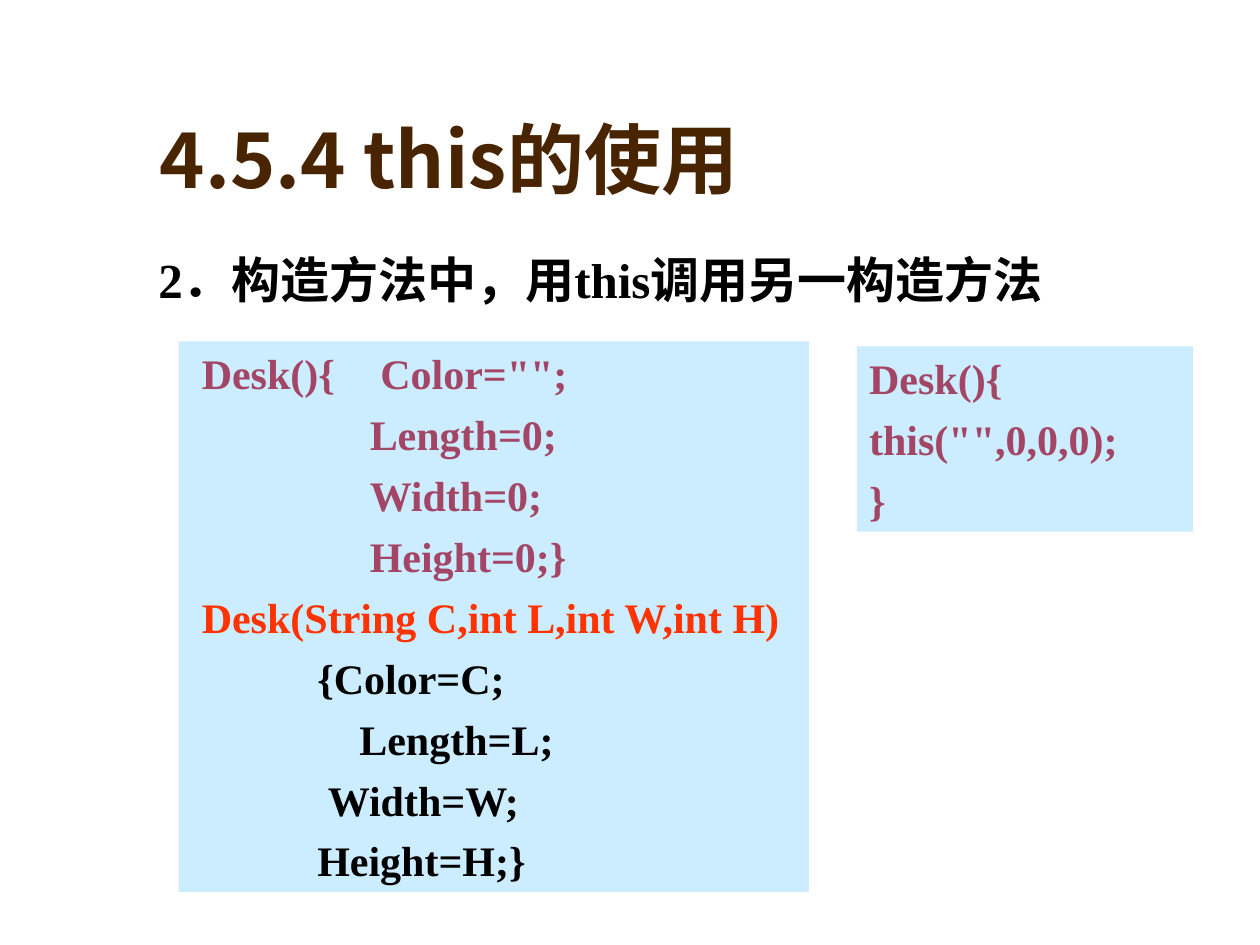
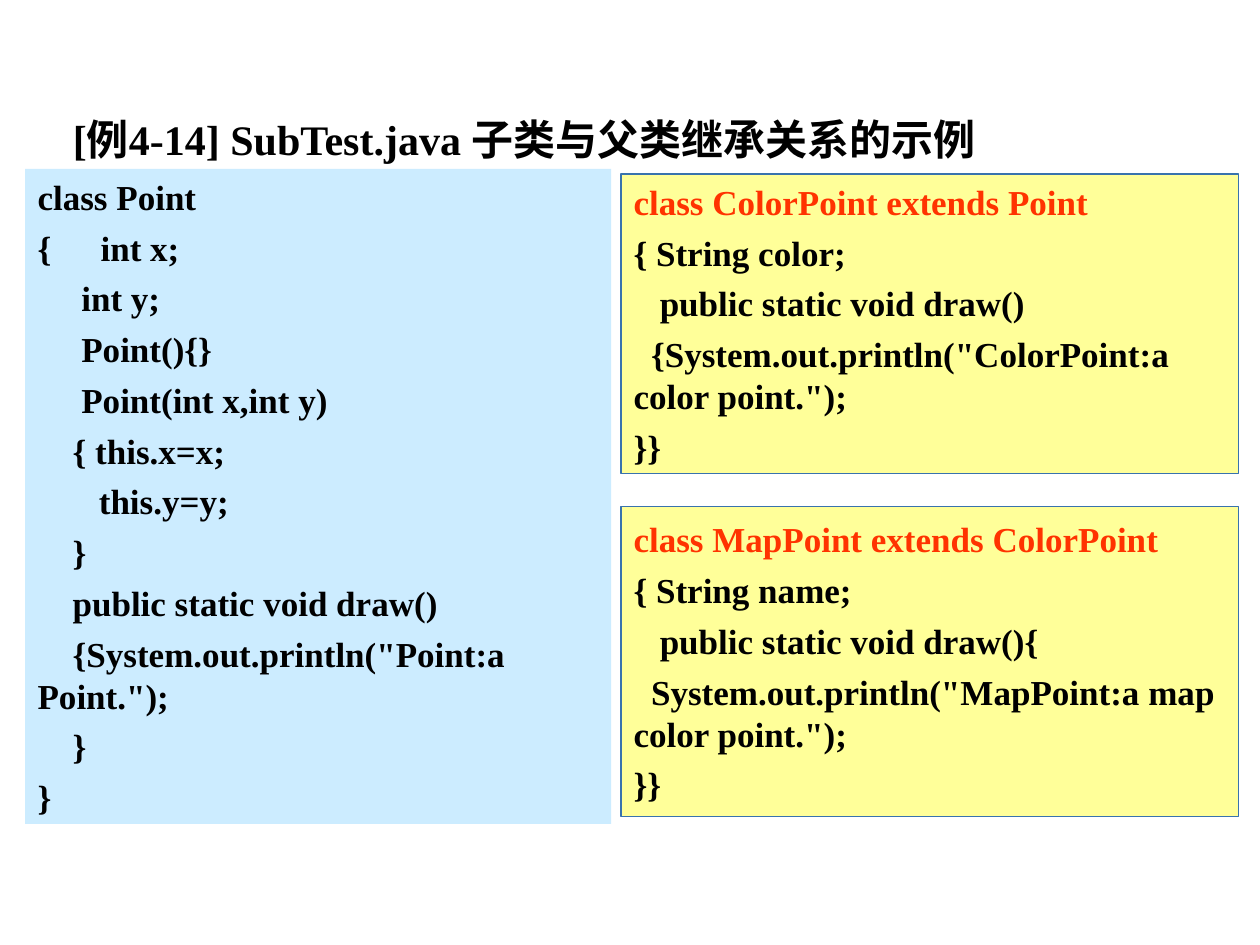
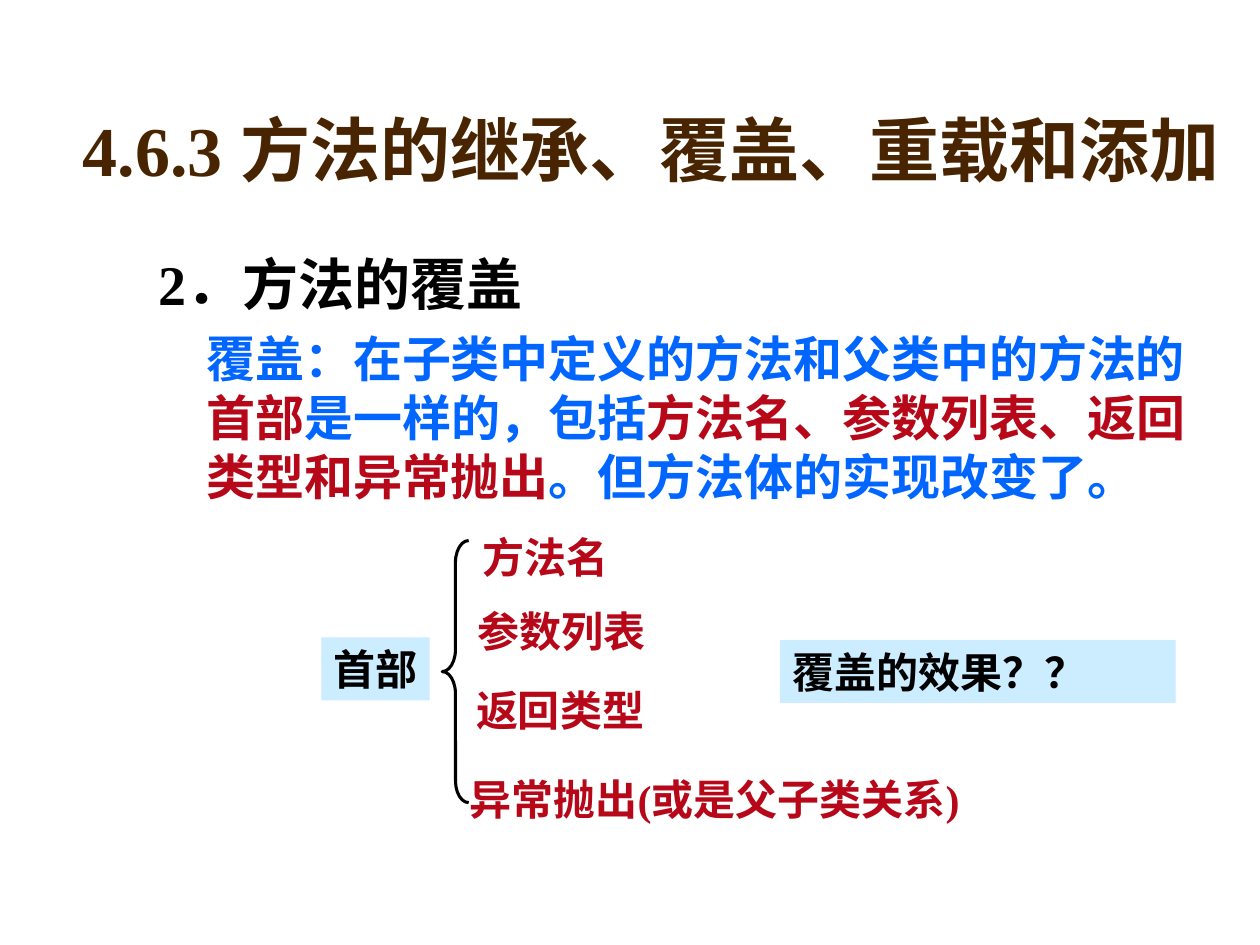
"""Three lecture slides on Java constructors, inheritance and method overriding."""
from lxml import etree
from pptx import Presentation
from pptx.dml.color import RGBColor
from pptx.enum.shapes import MSO_SHAPE
from pptx.enum.text import MSO_ANCHOR
from pptx.oxml.ns import qn
from pptx.util import Inches, Pt

RECTANGLE, LEFT_BRACE = MSO_SHAPE.RECTANGLE, MSO_SHAPE.LEFT_BRACE
TOP, MIDDLE, BOTTOM = MSO_ANCHOR.TOP, MSO_ANCHOR.MIDDLE, MSO_ANCHOR.BOTTOM

BROWN = RGBColor(0x48, 0x24, 0x00)
BLACK = RGBColor(0x00, 0x00, 0x00)
PLUM = RGBColor(0xA3, 0x45, 0x64)
ORANGE = RGBColor(0xFF, 0x33, 0x00)
BLUE = RGBColor(0x00, 0x66, 0xFF)
CRIMSON = RGBColor(0xB6, 0x08, 0x19)
SKY = RGBColor(0xCC, 0xEC, 0xFF)
YELLOW = RGBColor(0xFF, 0xFF, 0x99)
STEEL = RGBColor(0x39, 0x73, 0xAD)

SERIF, SANS = "Times New Roman", "Noto Sans CJK SC"
SPACE_SHARE = 0.25

deck = Presentation()
deck.slide_width, deck.slide_height = Inches(10), Inches(7.5)
constructor_slide, inheritance_slide, override_slide = [
    deck.slides.add_slide(deck.slide_layouts[6]) for _ in range(3)]


def write(paragraph, runs, size, font=SERIF, before=0, left=0, indent=0, tab=None):
    """Fill a paragraph with (text, colour) runs; indent and tab are inches."""
    paragraph.space_before = Pt(before)
    properties = paragraph._p.get_or_add_pPr()
    properties.set("marL", str(Inches(left)))
    properties.set("indent", str(Inches(indent)))
    if tab:
        stops = etree.SubElement(properties, qn("a:tabLst"))
        etree.SubElement(stops, qn("a:tab"), pos=str(Inches(tab)), algn="l")
    for text, colour in runs:
        run = paragraph.add_run()
        run.text = text
        for key, value in {"size": Pt(size), "bold": True, "name": font}.items():
            setattr(run.font, key, value)
        run.font.color.rgb = colour
        etree.SubElement(run._r.get_or_add_rPr(), qn("a:ea"), typeface=SANS)


def add_frame(slide, box, anchor=TOP, fill=None, line=None, wrap=True):
    """Add a text area, filled when a colour is given, and return its text frame."""
    place = [Inches(length) for length in box]
    if fill is None:
        area = slide.shapes.add_textbox(*place)
    else:
        area = slide.shapes.add_shape(RECTANGLE, *place)
        area.shadow.inherit = False
        area.fill.solid()
        area.fill.fore_color.rgb = fill
        if line is None:
            area.line.fill.background()
        else:
            area.line.color.rgb = line
            area.line.width = Pt(0.75)
    for key, value in {"word_wrap": wrap, "vertical_anchor": anchor}.items():
        setattr(area.text_frame, key, value)
    area.text_frame.paragraphs[0].alignment = 1
    return area.text_frame


headings = [
    (constructor_slide, (1.17, 0.42, 8.5, 1.25), BOTTOM, "4.5.4 this的使用", 44, SANS, BROWN, 0),
    (constructor_slide, (1.16, 1.93, 8.5, 0.6), TOP,
     "2．构造方法中，用this调用另一构造方法", 28, SERIF, BLACK, 7),
    (inheritance_slide, (0.48, 0.85, 9.28, 0.5), MIDDLE,
     "[例4-14] SubTest.java 子类与父类继承关系的示例", 24, SERIF, BLACK, 0),
    (override_slide, (0.56, 0.31, 9.44, 1.25), BOTTOM,
     "4.6.3 方法的继承、覆盖、重载和添加", 40, SERIF, BROWN, 0),
]
for slide, box, anchor, text, size, font, colour, before in headings:
    frame = add_frame(slide, box, anchor)
    write(frame.paragraphs[0], [(text, colour)], size, font, before)

short_constructor = [(0, "Desk(){", PLUM), (0, 'this("",0,0,0);', PLUM), (0, "}", PLUM)]
full_constructors = [
    (1, 'Desk(){\tColor="";', PLUM),
    (17, "Length=0;", PLUM),
    (17, "Width=0;", PLUM),
    (17, "Height=0;}", PLUM),
    (1, "Desk(String C,int L,int W,int H)", ORANGE),
    (12, "{Color=C;", BLACK),
    (16, "Length=L;", BLACK),
    (13, "Width=W;", BLACK),
    (12, "Height=H;}", BLACK),
]
point_class = [
    (0, "class Point", BLACK),
    (0, "{\tint x;", BLACK),
    (5, "int y;", BLACK),
    (5, "Point(){}", BLACK),
    (5, "Point(int x,int y)", BLACK),
    (4, "{ this.x=x;", BLACK),
    (7, "this.y=y;", BLACK),
    (4, "}", BLACK),
    (4, "public static void draw()", BLACK),
    (4, '{System.out.println("Point:a Point.");', BLACK),
    (4, "}", BLACK),
    (0, "}", BLACK),
]
color_point_class = [
    (0, "class ColorPoint extends Point", ORANGE),
    (0, "{ String color;", BLACK),
    (3, "public static void draw()", BLACK),
    (2, '{System.out.println("ColorPoint:a color point.");', BLACK),
    (0, "}}", BLACK),
]
map_point_class = [
    (0, "class MapPoint extends ColorPoint", ORANGE),
    (0, "{ String name;", BLACK),
    (3, "public static void draw(){", BLACK),
    (2, 'System.out.println("MapPoint:a map color point.");', BLACK),
    (0, "}}", BLACK),
]
listings = [
    (constructor_slide, (6.8, 2.75, 2.67, 1.47), MIDDLE, SKY, None, 24, None, short_constructor),
    (constructor_slide, (1.42, 2.71, 5, 4.37), TOP, SKY, None, 24, 1.39, full_constructors),
    (inheritance_slide, (0.2, 1.34, 4.65, 5.2), MIDDLE, SKY, None, 20, 0.32, point_class),
    (inheritance_slide, (4.93, 1.38, 4.9, 2.38), MIDDLE, YELLOW, STEEL, 20, None, color_point_class),
    (inheritance_slide, (4.93, 4.02, 4.9, 2.46), MIDDLE, YELLOW, STEEL, 20, None, map_point_class),
]
for slide, box, anchor, fill, line, size, tab, code in listings:
    frame = add_frame(slide, box, anchor, fill, line)
    for number, (spaces, text, colour) in enumerate(code):
        paragraph = frame.add_paragraph() if number else frame.paragraphs[0]
        paragraph.alignment = 1
        write(paragraph, [(text, colour)], size, before=size / 4,
              indent=spaces * SPACE_SHARE * size / 72, tab=tab if "\t" in text else None)

definition = [
    ("覆盖：在子类中定义的方法和父类中的方法的", BLUE),
    ("首部", CRIMSON),
    ("是一样的，包括", BLUE),
    ("方法名、参数列表、返回类型和异常抛出", CRIMSON),
    ("。但方法体的实现改变了。", BLUE),
]
frame = add_frame(override_slide, (1.16, 1.93, 8.5, 5.57))
write(frame.paragraphs[0], [("2．方法的覆盖", BLACK)], 32, before=8, left=0.38, indent=-0.38)
write(frame.add_paragraph(), definition, 28, before=7, left=0.38)

header_brace = override_slide.shapes.add_shape(
    LEFT_BRACE, Inches(3.51), Inches(4.29), Inches(0.21), Inches(2.08))
header_brace.shadow.inherit = False
header_brace.fill.background()
header_brace.line.color.rgb = BLACK
header_brace.line.width = Pt(1.75)
header_brace.adjustments[0] = 0.83

labels = [
    ((2.55, 5.06, 0.86, 0.5), "首部", BLACK, SKY, False),
    ((3.73, 4.17, 1.2, 0.5), "方法名", CRIMSON, None, False),
    ((3.69, 4.76, 1.53, 0.5), "参数列表", CRIMSON, None, False),
    ((3.68, 5.38, 1.53, 0.5), "返回类型", CRIMSON, None, False),
    ((3.63, 6.09, 4.33, 0.5), "异常抛出(或是父子类关系)", CRIMSON, None, False),
    ((6.19, 5.08, 3.14, 0.5), "覆盖的效果？？", BLACK, SKY, True),
]
for box, text, colour, fill, wrap in labels:
    frame = add_frame(override_slide, box, fill=fill, wrap=wrap)
    write(frame.paragraphs[0], [(text, colour)], 24, before=6)

deck.save("out.pptx")
